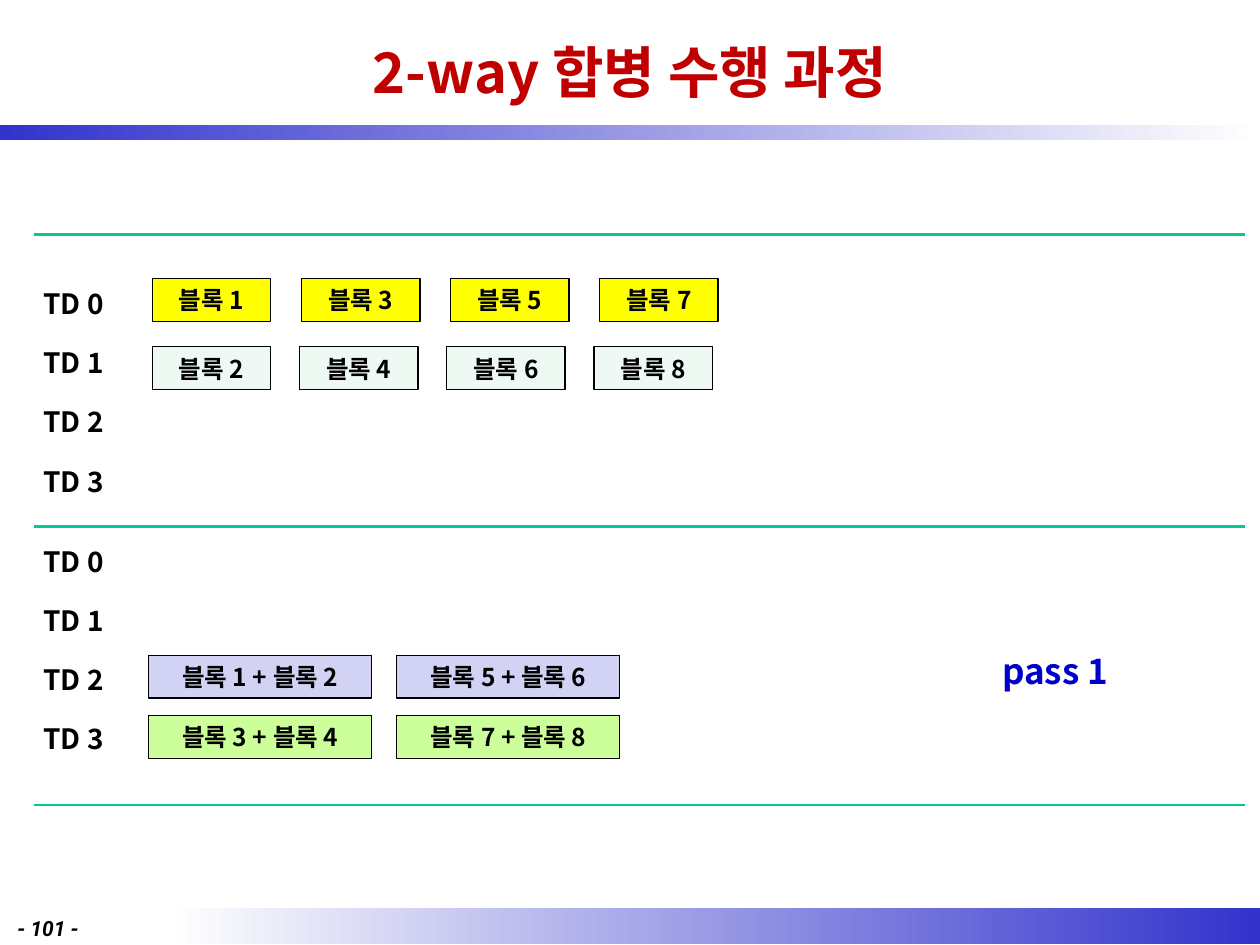
from lxml.etree import SubElement
from pptx import Presentation
from pptx.dml.color import RGBColor
from pptx.enum.shapes import MSO_CONNECTOR, MSO_SHAPE
from pptx.enum.text import MSO_ANCHOR, PP_ALIGN
from pptx.oxml.ns import qn
from pptx.util import Pt

KOREAN_FONT = "Noto Sans CJK KR"
NUMBER_FONT = "Roboto"
BLACK = RGBColor(0x00, 0x00, 0x00)
WHITE = RGBColor(0xFF, 0xFF, 0xFF)
RED = RGBColor(0xC0, 0x00, 0x00)
BLUE = RGBColor(0x00, 0x00, 0xCC)
BAR_BLUE = RGBColor(0x33, 0x33, 0xCC)
GREEN = RGBColor(0x00, 0xC8, 0x96)
YELLOW = RGBColor(0xFF, 0xFF, 0x00)
MINT = RGBColor(0xEE, 0xF9, 0xF4)
LAVENDER = RGBColor(0xD2, 0xD2, 0xF4)
LIME = RGBColor(0xCC, 0xFF, 0x99)

# Content
TITLE = "2-way 합병 수행 과정"
PAGE_NUMBER = "- 101 -"
PASS_LABEL = "pass 1"
DRIVES = ["TD 0", "TD 1", "TD 2", "TD 3"]
DRIVE_TOPS = [159.8, 307.2]  # first drive label of each stage
DRIVE_STEP = 33.9
RULE_TOPS = [133.9, 301, 460.1]

# Rows of blocks: left, top, width, step, fill, labels
BLOCK_ROWS = [
    (87.1, 159.1, 67.7, 85.2, YELLOW, ["블록 1", "블록 3", "블록 5", "블록 7"]),
    (87.1, 198.2, 67.7, 84.1, MINT, ["블록 2", "블록 4", "블록 6", "블록 8"]),
    (85, 374.4, 127.4, 141.8, LAVENDER, ["블록 1 + 블록 2", "블록 5 + 블록 6"]),
    (85, 409, 127.4, 141.8, LIME, ["블록 3 + 블록 4", "블록 7 + 블록 8"]),
]
BLOCK_HEIGHT = 24.5

# Gradient bars: left, top, width, height, start colour, end colour
BARS = [
    (95.8, 519.1, 624.2, 20.2, WHITE, BAR_BLUE),
    (0, 71.3, 720, 8.6, BAR_BLUE, WHITE),
]


def write(frame, text, size, color=BLACK, font=KOREAN_FONT, italic=False,
          align=PP_ALIGN.CENTER, anchor=MSO_ANCHOR.MIDDLE):
    frame.text = text
    frame.word_wrap = True
    frame.vertical_anchor = anchor
    paragraph = frame.paragraphs[0]
    paragraph.alignment = align
    paragraph.font.name = font
    paragraph.font.size = Pt(size)
    paragraph.font.bold = True
    paragraph.font.italic = italic
    paragraph.font.color.rgb = color
    defaults = paragraph._p.pPr.find(qn("a:defRPr"))
    SubElement(defaults, qn("a:ea")).set("typeface", font)


def add_rectangle(slide, left, top, width, height):
    rectangle = slide.shapes.add_shape(
        MSO_SHAPE.RECTANGLE, Pt(left), Pt(top), Pt(width), Pt(height))
    rectangle.shadow.inherit = False
    return rectangle


def add_label(slide, left, top, width, height, text, size, **style):
    label = slide.shapes.add_textbox(Pt(left), Pt(top), Pt(width), Pt(height))
    write(label.text_frame, text, size, **style)


def main():
    deck = Presentation()
    deck.slide_width, deck.slide_height = Pt(720), Pt(540)
    slide = deck.slides.add_slide(deck.slide_layouts[5])

    # Title
    title = slide.shapes.title
    title.left, title.top, title.width, title.height = Pt(54), Pt(3.6), Pt(612), Pt(74.2)
    write(title.text_frame, TITLE, 32, color=RED)

    # Gradient bars and page number
    for left, top, width, height, *colors in BARS:
        bar = add_rectangle(slide, left, top, width, height)
        bar.line.fill.background()
        bar.fill.gradient()
        bar.fill.gradient_angle = 0
        for stop, color in zip(bar.fill.gradient_stops, colors):
            stop.color.rgb = color
    add_label(slide, 2.9, 519.8, 51.1, 17.3, PAGE_NUMBER, 12, font=NUMBER_FONT,
              italic=True, align=PP_ALIGN.LEFT, anchor=MSO_ANCHOR.TOP)

    # Rules between the stages
    for top in RULE_TOPS:
        rule = slide.shapes.add_connector(
            MSO_CONNECTOR.STRAIGHT, Pt(19.4), Pt(top), Pt(711.4), Pt(top))
        rule.line.color.rgb = GREEN
        rule.line.width = Pt(1.5)
        SubElement(rule._element.spPr, qn("a:effectLst"))

    # Drive labels
    for first_top in DRIVE_TOPS:
        for row, drive in enumerate(DRIVES):
            add_label(slide, 8, first_top + row * DRIVE_STEP, 68, 26.6, drive, 16)
    add_label(slide, 540.7, 367.2, 124.6, 31.7, PASS_LABEL, 20, color=BLUE)

    # Blocks
    for left, top, width, step, fill, labels in BLOCK_ROWS:
        for column, text in enumerate(labels):
            block = add_rectangle(slide, left + column * step, top, width, BLOCK_HEIGHT)
            block.fill.solid()
            block.fill.fore_color.rgb = fill
            block.line.color.rgb = BLACK
            block.line.width = Pt(0.75)
            write(block.text_frame, text, 14)

    deck.save("out.pptx")


if __name__ == "__main__":
    main()
